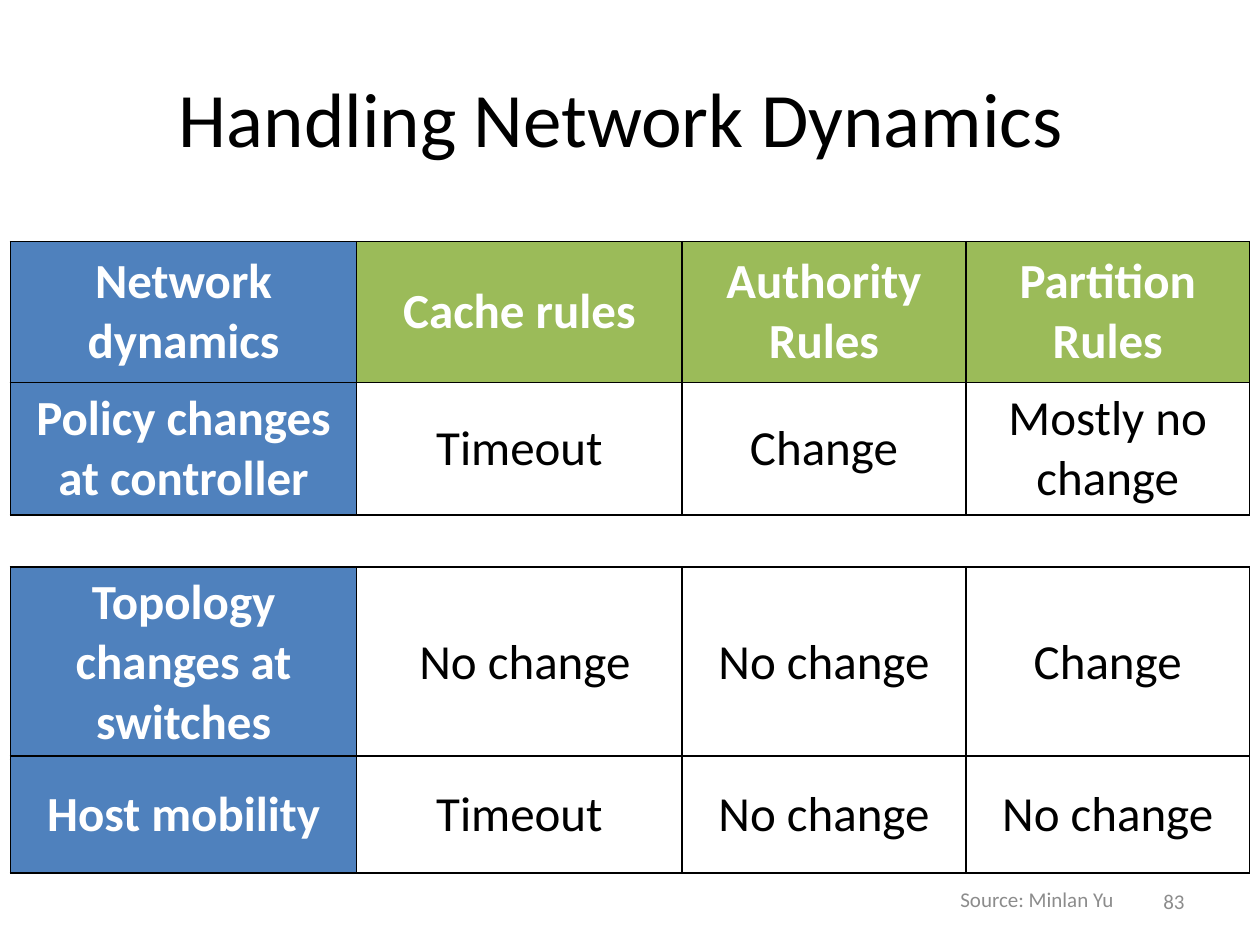
from lxml import etree
from pptx import Presentation
from pptx.dml.color import RGBColor
from pptx.enum import text
from pptx.oxml import ns
from pptx.util import Cm, Pt

BLUE, GREEN, WHITE, BLACK, GREY = "4F81BD", "9BBB59", "FFFFFF", "000000", "8C8C8C"
LEFT = 0.21
WIDTHS = [6.98, 6.56, 5.72, 5.72]
ROWS = [
    (4.87, 2.84, GREEN, ["Network dynamics", "Cache rules", "Authority Rules", "Partition Rules"]),
    (7.71, 2.66, WHITE, ["Policy changes at controller", "Timeout", "Change", "Mostly no change"]),
    (11.43, 3.81, WHITE, ["Topology changes at switches", " No change", "No change", "Change"]),
    (15.24, 2.36, WHITE, ["Host mobility", "Timeout", "No change", "No change"]),
]


def color(code):
    return RGBColor.from_string(code)


def write(frame, words, size, tint, align, bold=False):
    frame.word_wrap = True
    para = frame.paragraphs[0]
    para.alignment = align
    run = para.add_run()
    run.text = words
    font = run.font
    font.name, font.size, font.bold = "Calibri", Pt(size), bold
    font.color.rgb = color(tint)


def border(cell):
    props = cell._tc.get_or_add_tcPr()
    for spot, side in enumerate(("lnL", "lnR", "lnT", "lnB")):
        line = etree.Element(ns.qn("a:" + side), w=str(Pt(1)))
        fill = etree.SubElement(line, ns.qn("a:solidFill"))
        etree.SubElement(fill, ns.qn("a:srgbClr"), val=BLACK)
        props.insert(spot, line)


def add_row(slide, top, height, back, words):
    frame = slide.shapes.add_table(
        1, len(words), Cm(LEFT), Cm(top), Cm(sum(WIDTHS)), Cm(height))
    table = frame.table
    table.first_row = table.horz_banding = False
    table.rows[0].height = Cm(height)
    for col, (width, label) in enumerate(zip(WIDTHS, words)):
        table.columns[col].width = Cm(width)
        cell = table.cell(0, col)
        fill = BLUE if col == 0 else back
        cell.fill.solid()
        cell.fill.fore_color.rgb = color(fill)
        cell.vertical_anchor = text.MSO_ANCHOR.MIDDLE
        strong = fill != WHITE
        write(cell.text_frame, label, 28, WHITE if strong else BLACK,
              text.PP_ALIGN.CENTER, strong)
        border(cell)


def add_title(slide, words):
    title = slide.shapes.title
    title.left, title.top, title.width, title.height = Cm(1.27), Cm(0.76), Cm(22.86), Cm(3.18)
    title.text_frame.vertical_anchor = text.MSO_ANCHOR.MIDDLE
    write(title.text_frame, words, 44, BLACK, text.PP_ALIGN.CENTER)


def add_note(slide, words, left, top, width, height, align):
    box = slide.shapes.add_textbox(Cm(left), Cm(top), Cm(width), Cm(height))
    box.text_frame.vertical_anchor = text.MSO_ANCHOR.MIDDLE
    write(box.text_frame, words, 12, GREY, align)


def main():
    deck = Presentation()
    deck.slide_width, deck.slide_height = Cm(25.4), Cm(19.05)
    slide = deck.slides.add_slide(deck.slide_layouts[5])
    add_title(slide, "Handling Network Dynamics ")
    for row in ROWS:
        add_row(slide, *row)
    add_note(slide, "83", 18.2, 17.66, 5.93, 1.01, text.PP_ALIGN.RIGHT)
    add_note(slide, "Source: Minlan Yu", 16.46, 17.58, 8.89, 1.09, text.PP_ALIGN.CENTER)
    deck.save("out.pptx")


if __name__ == "__main__":
    main()
